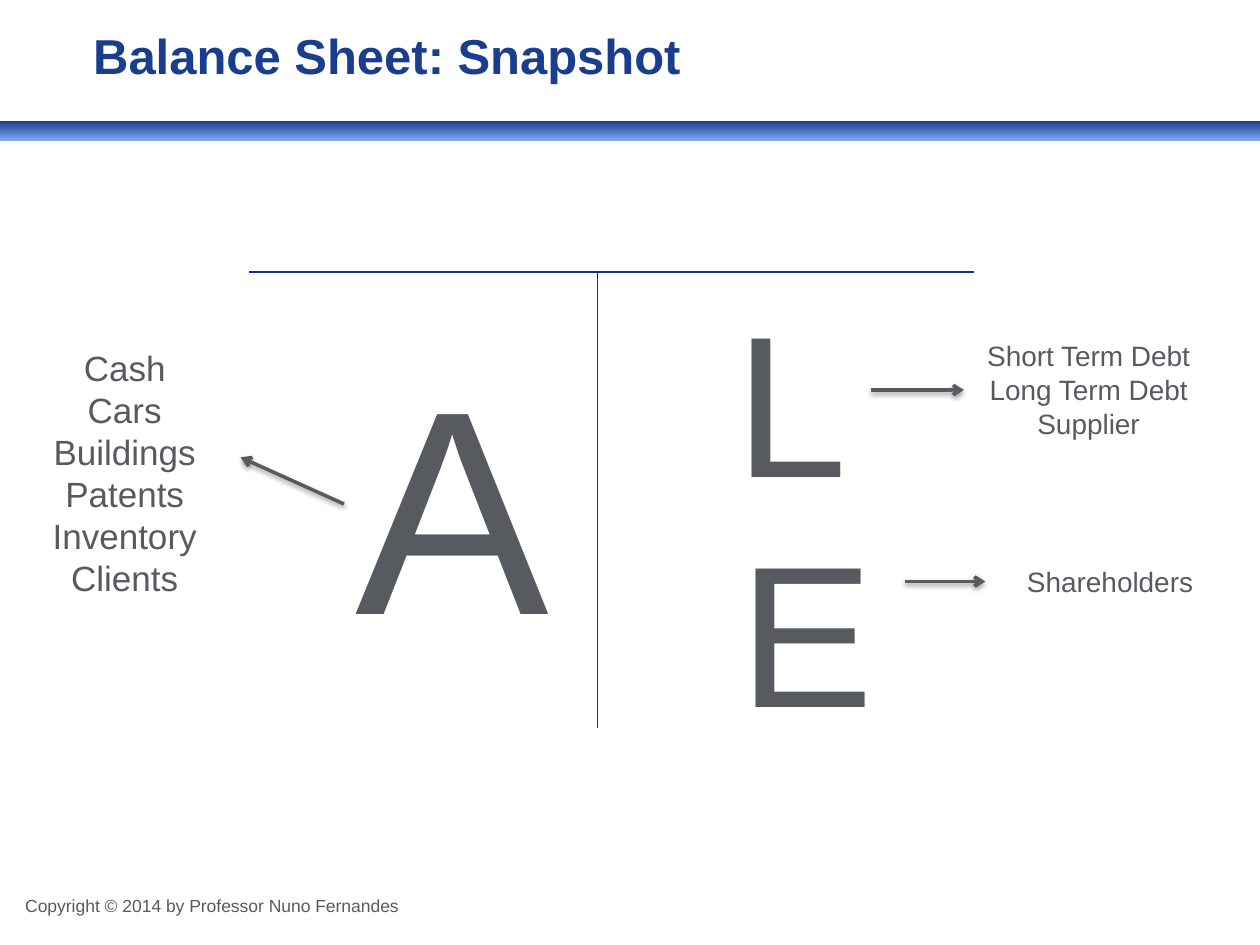
from lxml import etree
from pptx import Presentation
from pptx.dml.color import RGBColor
from pptx.enum import shapes, text
from pptx.oxml import parse_xml
from pptx.util import Inches, Pt

HUES = {"grey": "575B60", "title": "193E8E", "rule": "133580",
        "dark": "183E8D", "light": "84A9FA"}
FONT = "Arial"
NS = "http://schemas.openxmlformats.org/drawingml/2006/main"

TITLE = "Balance Sheet: Snapshot"
CREDIT = "Copyright © 2014 by Professor Nuno Fernandes"
LETTERS = [("A", 166, (2.45, 2.52, 2.28, 2.89)),
           ("E", 115, (5.26, 3.97, 2.28, 2.04)),
           ("L", 115, (5.26, 2.14, 2.05, 2.04))]
ASSETS = ["Cash", "Cars", "Buildings", "Patents", "Inventory", "Clients"]
CLAIMS = [(["Short Term Debt", "Long Term Debt", "Supplier"],
           (7.65, 2.64, 1.98, 0.91), 6.91),
          (["Shareholders"], (7.82, 4.43, 1.98, 0.37), 7.18)]
RULES = [((4.74, 2.16), (4.74, 5.78)), ((1.98, 2.16), (7.73, 2.16))]
SHADE = (f'<a:effectLst xmlns:a="{NS}"><a:outerShdw blurRad="39370" dist="20320" '
         'dir="5400000" rotWithShape="0"><a:srgbClr val="000000">'
         '<a:alpha val="38000"/></a:srgbClr></a:outerShdw></a:effectLst>')


def rgb(name):
    """Return a palette colour."""
    return RGBColor.from_string(HUES[name])


def write(slide, lines, at, size, hue="grey", bold=False, center=True,
          pad=(0.1, 0.05, 0.1, 0.05), grow=True, shape=None):
    """Put formatted lines in a new text box or a given shape."""
    box = shape or slide.shapes.add_textbox(0, 0, 0, 0)
    box.left, box.top, box.width, box.height = map(Inches, at)
    frame = box.text_frame
    frame.text = "\n".join(lines)
    frame.word_wrap = True
    frame.vertical_anchor = text.MSO_ANCHOR.TOP
    fit = text.MSO_AUTO_SIZE
    frame.auto_size = fit.SHAPE_TO_FIT_TEXT if grow else fit.NONE
    (frame.margin_left, frame.margin_top,
     frame.margin_right, frame.margin_bottom) = map(Inches, pad)
    for par in frame.paragraphs:
        par.alignment = text.PP_ALIGN.CENTER if center else text.PP_ALIGN.LEFT
        font = par.runs[0].font
        font.name, font.size, font.bold = FONT, Pt(size), bold
        font.color.rgb = rgb(hue)
    return box


def link(slide, start, end, hue, width, arrow=False):
    """Draw a plain rule or a shadowed arrow."""
    line = slide.shapes.add_connector(
        shapes.MSO_CONNECTOR.STRAIGHT, *map(Inches, start + end))
    line.line.color.rgb = rgb(hue)
    line.line.width = Pt(width)
    props = line._element.spPr
    if arrow:
        etree.SubElement(line.line._get_or_add_ln(), f"{{{NS}}}tailEnd", type="arrow")
        props.append(parse_xml(SHADE))
    else:
        etree.SubElement(props, f"{{{NS}}}effectLst")
    return line


def main():
    """Build the balance sheet slide."""
    deck = Presentation()
    deck.slide_width, deck.slide_height = Inches(10), Inches(7.5)
    slide = deck.slides.add_slide(deck.slide_layouts[5])

    band = slide.shapes.add_shape(shapes.MSO_SHAPE.RECTANGLE, 0, Inches(0.96),
                                  deck.slide_width, Inches(0.16))
    band.shadow.inherit = False
    band.line.fill.background()
    band.fill.gradient()
    band.fill.gradient_angle = 270
    for stop, hue, place in zip(band.fill.gradient_stops, ("dark", "light"), (0, 1)):
        stop.color.rgb, stop.position = rgb(hue), place

    write(slide, [CREDIT], (0.2, 7.1, 6.51, 0.22), 10, center=False,
          pad=(0, 0, 0.1, 0.05), grow=False)
    write(slide, [TITLE], (0.66, 0.17, 8.59, 0.83), 28, hue="title", bold=True,
          center=False, pad=(0.08, 0.03, 0.1, 0.05), grow=False,
          shape=slide.shapes.title)

    for start, end in RULES:
        link(slide, start, end, "rule", 0.75)
    for letter, size, at in LETTERS:
        write(slide, [letter], at, size)

    write(slide, ASSETS, (0, 2.7, 1.98, 2.12), 20)
    link(slide, (2.73, 4), (1.91, 3.63), "grey", 2, arrow=True)
    for lines, at, left in CLAIMS:
        box = write(slide, lines, at, 16)
        mid = at[1] + at[3] / 2
        arrow = link(slide, (left, mid), (at[0], mid), "grey", 2, arrow=True)
        arrow.end_connect(box, 1)

    deck.save("out.pptx")


if __name__ == "__main__":
    main()
